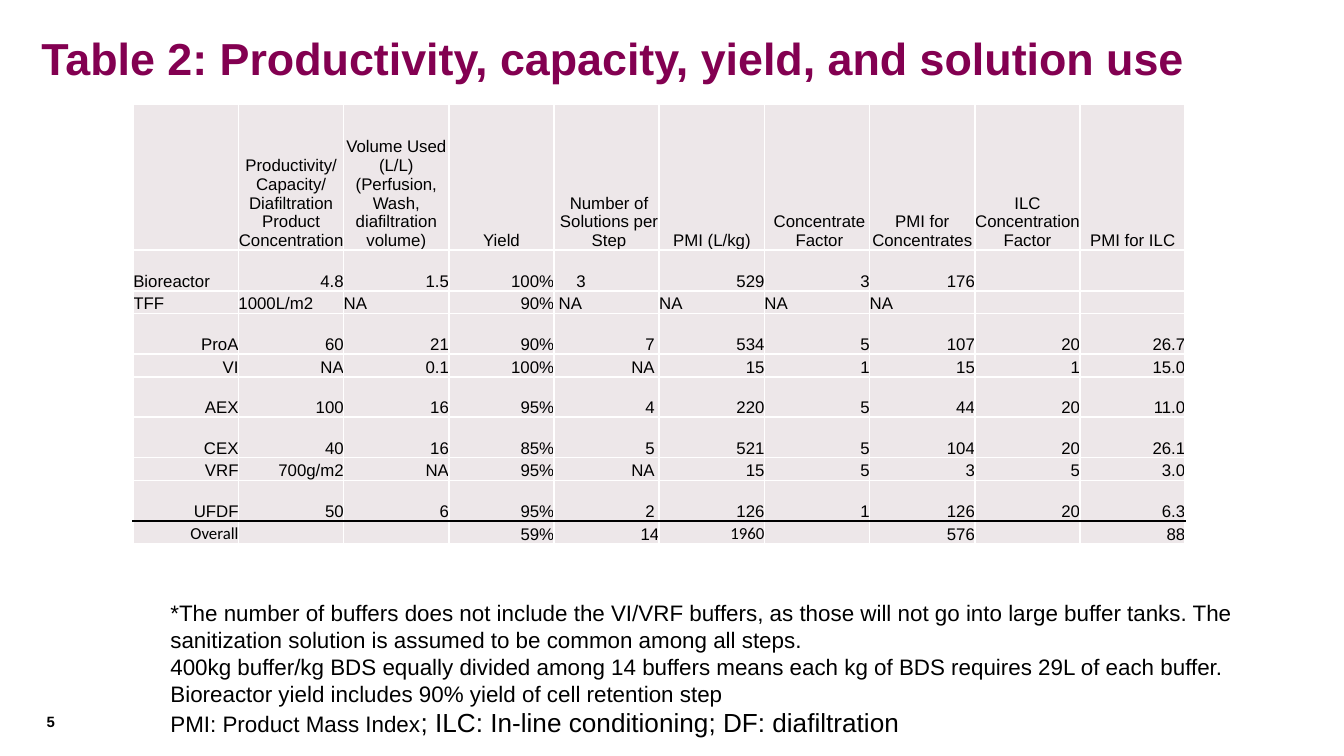
from pptx import Presentation
from pptx.dml.color import RGBColor
from pptx.enum.text import MSO_ANCHOR as Anchor, MSO_AUTO_SIZE as Fit, PP_ALIGN as Align
from pptx.oxml import parse_xml
from pptx.oxml.ns import nsdecls
from pptx.util import Pt

INK, WHITE, PLUM, ROSE = "000000", "FFFFFF", "830051", "EDE7E9"
L, C, R = Align.LEFT, Align.CENTER, Align.RIGHT
SPACE = 2.5  # width of one space at 9 pt

HEADS = [
    "", "Productivity/ Capacity/ Diafiltration Product Concentration",
    "Volume Used (L/L) (Perfusion, Wash, diafiltration volume)", "Yield",
    "Number of Solutions per Step", "PMI (L/kg)", "Concentrate Factor",
    "PMI for Concentrates", "ILC Concentration Factor", "PMI for ILC",
]
STEPS = [
    ["Bioreactor", "4.8", "1.5", "100%", "3", "529", "3", "176", "", ""],
    ["TFF", "1000L/m2", "NA", "90%", "NA", "NA", "NA", "NA", "", ""],
    ["ProA", "60", "21", "90%", "7", "534", "5", "107", "20", "26.7"],
    ["VI", "NA", "0.1", "100%", "NA", "15", "1", "15", "1", "15.0"],
    ["AEX", "100", "16", "95%", "4", "220", "5", "44", "20", "11.0"],
    ["CEX", "40", "16", "85%", "5", "521", "5", "104", "20", "26.1"],
    ["VRF", "700g/m2", "NA", "95%", "NA", "15", "5", "3", "5", "3.0"],
    ["UFDF", "50", "6", "95%", "2", "126", "1", "126", "20", "6.3"],
    ["Overall", "", "", "59%", "14", "1960", "", "576", "", "88"],
]
LOW = {"TFF", "VI", "VRF", "Overall"}
LEFT = {(1, 0), (1, 4), (2, 0), (2, 1), (2, 2), (2, 4), (2, 5), (2, 6), (2, 7)}
CALIBRI = {"Overall", "1960"}
INSETS = {(0, 4): (SPACE, 0), (0, 6): (SPACE, 0), (1, 4): (12, 0), (2, 4): (SPACE, 0)}
INSETS.update({(row, 4): (0, SPACE) for row in range(3, 9)})

NOTES = [
    [("*The number of buffers does not include the VI/VRF buffers, as those will not go "
      "into large buffer tanks. The sanitization solution is assumed to be common among "
      "all steps.", 12)],
    [("400kg buffer/kg BDS equally divided among 14 buffers means each kg of BDS requires "
      "29L of each buffer.", 12)],
    [("Bioreactor yield includes 90% yield of cell retention step", 12)],
    [("PMI: Product Mass Index", 12), ("; ILC: In-line conditioning; DF: diafiltration", 14)],
]


def color(code):
    return RGBColor.from_string(code)


def write(para, text, size=9, font="Arial", ink=INK, bold=False, align=L):
    para.alignment = align
    run = para.add_run()
    run.text = text
    face = run.font
    face.size, face.name, face.bold = Pt(size), font, bold
    face.color.rgb = color(ink)


def place(shape, box):
    shape.left, shape.top, shape.width, shape.height = map(Pt, box)


def pad(frame, left=0, top=0, right=0, bottom=0):
    frame.margin_left, frame.margin_right = Pt(left), Pt(right)
    frame.margin_top, frame.margin_bottom = Pt(top), Pt(bottom)


def edge(cell, **sides):
    """Draw 1 pt borders; sides are given in schema order, before the fill."""
    props = cell._tc.get_or_add_tcPr()
    for side, code in sides.items():
        props.append(parse_xml(
            f'<a:{side} {nsdecls("a")} w="12700"><a:solidFill>'
            f'<a:srgbClr val="{code}"/></a:solidFill></a:{side}>'))


def add_title(slide, box, text):
    title = slide.shapes.title
    place(title, box)
    frame = title.text_frame
    frame.auto_size, frame.vertical_anchor = Fit.NONE, Anchor.MIDDLE
    write(frame.paragraphs[0], text, size=24, ink=PLUM, bold=True)


def fill_cell(cell, row, col, text):
    last = len(STEPS)
    edge(cell, lnL=WHITE, lnR=WHITE,
         lnT=INK if row == last else WHITE,
         lnB=INK if row == last - 1 else WHITE)
    cell.fill.solid()
    cell.fill.fore_color.rgb = color(ROSE)
    left, right = INSETS.get((row, col), (0, 0))
    pad(cell, left=left, right=right)
    cell.vertical_anchor = Anchor.BOTTOM
    para = cell.text_frame.paragraphs[0]
    if text:
        align = C if row == 0 else L if (row, col) in LEFT else R
        write(para, text, font="Calibri" if text in CALIBRI else "Arial", align=align)
    else:
        para._p.get_or_add_endParaRPr().set("sz", "900")


def add_grid(slide, box):
    rows = [HEADS] + STEPS
    table = slide.shapes.add_table(len(rows), len(HEADS), *map(Pt, box)).table
    table.first_row = table.horz_banding = False
    for column in table.columns:
        column.width = Pt(box[2] / len(HEADS))
    for row, texts in enumerate(rows):
        table.rows[row].height = Pt(78.5 if row == 0 else 12.2 if texts[0] in LOW else 21.7)
        for col, text in enumerate(texts):
            fill_cell(table.cell(row, col), row, col, text)


def add_notes(slide, box):
    frame = slide.shapes.add_textbox(*map(Pt, box)).text_frame
    frame.word_wrap = True
    for i, parts in enumerate(NOTES):
        para = frame.add_paragraph() if i else frame.paragraphs[0]
        for text, size in parts:
            write(para, text, size=size)


def add_number(slide, box, text):
    frame = slide.shapes.add_textbox(*map(Pt, box)).text_frame
    frame.word_wrap = True
    pad(frame)
    write(frame.paragraphs[0], text, size=8, bold=True)


def main():
    deck = Presentation()
    deck.slide_width, deck.slide_height = Pt(720), Pt(405)
    slide = deck.slides.add_slide(deck.slide_layouts[5])
    add_number(slide, (25, 381.6, 31, 13), "5")
    add_title(slide, (15, 10.8, 690.5, 39.6),
              "Table 2: Productivity, capacity, yield, and solution use")
    add_notes(slide, (84.2, 317.5, 610.6, 82))
    add_grid(slide, (71.4, 55.6, 563.8, 235.8))
    deck.save("out.pptx")


if __name__ == "__main__":
    main()
